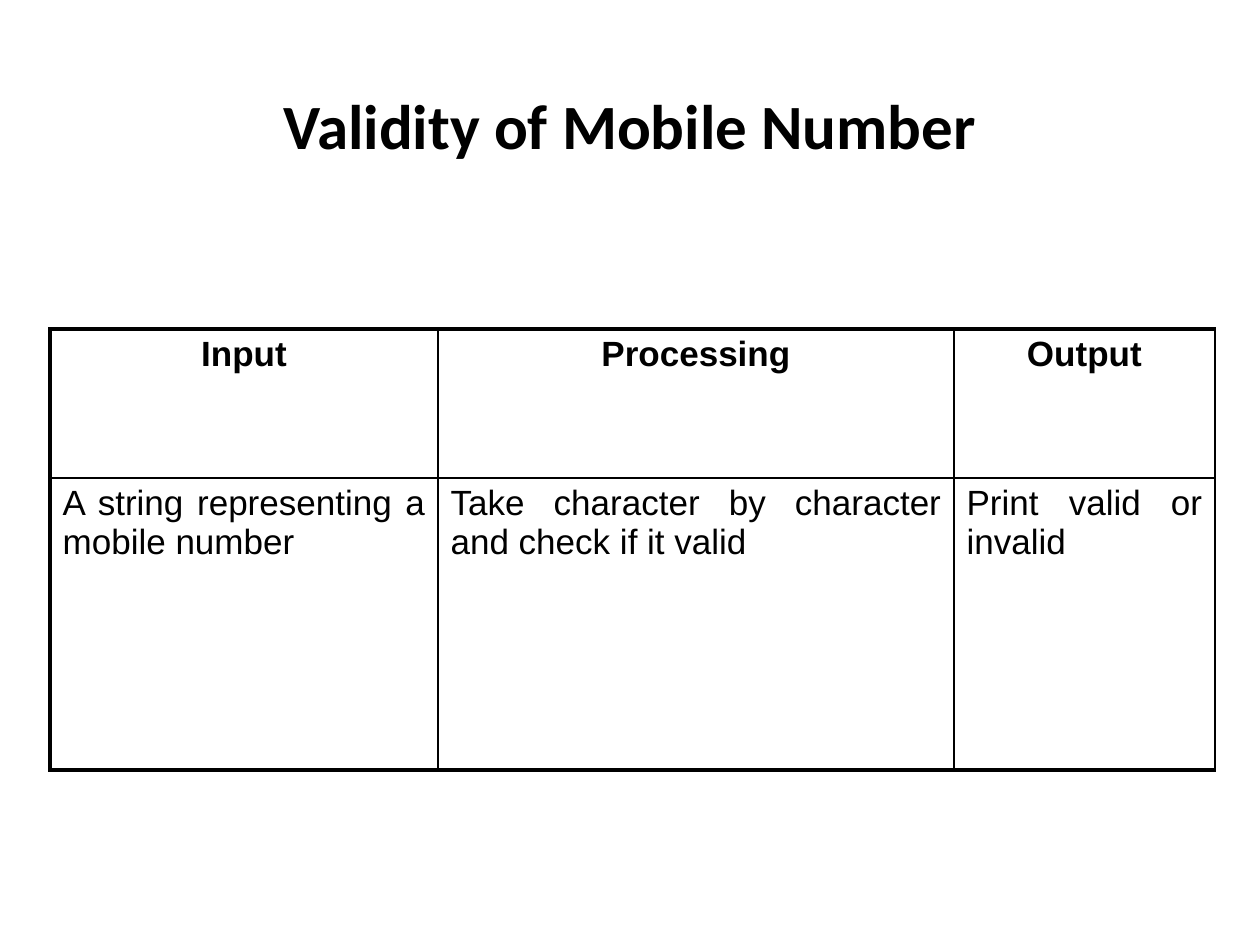
from dataclasses import dataclass

from lxml.etree import SubElement
from pptx import Presentation
from pptx.dml.color import RGBColor
from pptx.enum.text import MSO_ANCHOR as Anchor, PP_ALIGN as Align
from pptx.oxml.ns import qn
from pptx.util import Emu, Pt

TITLE = "Validity of Mobile Number"
HEADERS = ["Input", "Processing", "Output"]
DETAILS = [
    "A string representing a mobile number",
    "Take character by character and check if it valid",
    "Print valid or invalid",
]

PX = 914400 // 126
SLIDE_SIZE = (1260, 945)
TITLE_BOX = (63, 84, 1134, 81)
TABLE_ORIGIN = (50, 329)
COLUMN_WIDTHS = [388, 516, 261]
ROW_HEIGHTS = [149, 292]


@dataclass(frozen=True)
class Theme:
    ink: str = "000000"
    title_font: str = "Calibri"
    table_font: str = "Arial"
    title_size: int = 36
    table_size: int = 20
    thin: float = 1
    thick: float = 2.25


THEME = Theme()


def px(*lengths):
    return [Emu(length * PX) for length in lengths]


def write_text(frame, text, *, font, size, bold=False, align=Align.CENTER):
    frame.word_wrap = True
    para = frame.paragraphs[0]
    para.alignment = align
    span = para.add_run()
    span.text = text
    span.font.name = font
    span.font.size = Pt(size)
    span.font.bold = bold
    span.font.color.rgb = RGBColor.from_string(THEME.ink)


def set_borders(cell, **widths):
    properties = cell._tc.get_or_add_tcPr()
    for position, (side, width) in enumerate(widths.items()):
        line = properties.makeelement(qn(f"a:ln{side}"), {"w": str(Pt(width))})
        fill = SubElement(line, qn("a:solidFill"))
        SubElement(fill, qn("a:srgbClr"), val=THEME.ink)
        properties.insert(position, line)


def add_title(page):
    title = page.shapes.title
    title.left, title.top, title.width, title.height = px(*TITLE_BOX)
    title.text_frame.vertical_anchor = Anchor.MIDDLE
    write_text(title.text_frame, TITLE, font=THEME.title_font,
               size=THEME.title_size, bold=True)


def add_process_table(page):
    rows = [HEADERS, DETAILS]
    size = sum(COLUMN_WIDTHS), sum(ROW_HEIGHTS)
    table = page.shapes.add_table(
        len(rows), len(HEADERS), *px(*TABLE_ORIGIN, *size)).table
    table.first_row = table.horz_banding = False
    for column, width in zip(table.columns, px(*COLUMN_WIDTHS)):
        column.width = width
    for row, height in zip(table.rows, px(*ROW_HEIGHTS)):
        row.height = height

    for row_index, texts in enumerate(rows):
        is_header = row_index == 0
        is_last = row_index == len(rows) - 1
        for column_index, text in enumerate(texts):
            cell = table.cell(row_index, column_index)
            cell.fill.background()
            write_text(cell.text_frame, text, font=THEME.table_font,
                       size=THEME.table_size, bold=is_header,
                       align=Align.CENTER if is_header else Align.JUSTIFY)
            set_borders(cell,
                        L=THEME.thin if column_index else THEME.thick,
                        R=THEME.thin,
                        T=THEME.thick if is_header else THEME.thin,
                        B=THEME.thick if is_last else THEME.thin)


def main():
    deck = Presentation()
    deck.slide_width, deck.slide_height = px(*SLIDE_SIZE)
    page = deck.slides.add_slide(deck.slide_layouts.get_by_name("Title Only"))
    add_title(page)
    add_process_table(page)
    deck.save("out.pptx")


if __name__ == "__main__":
    main()
